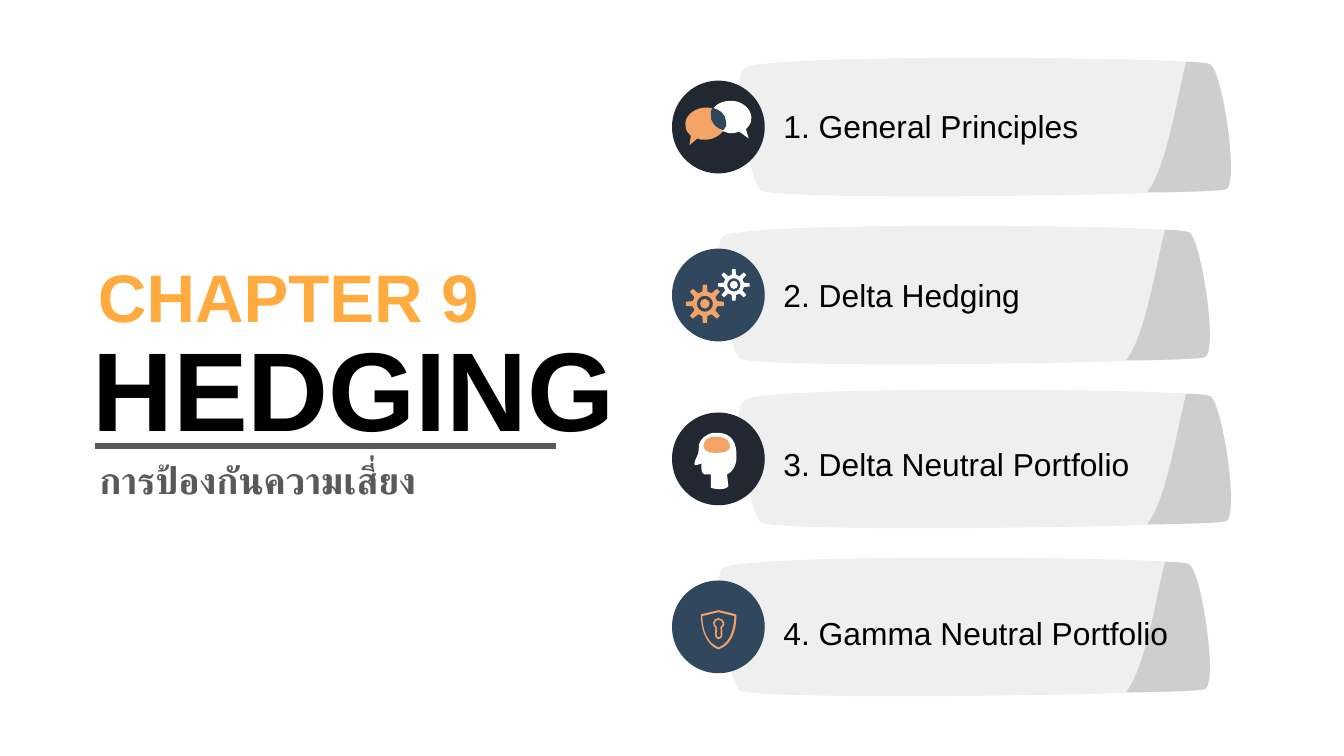
from dataclasses import dataclass
from math import cos, pi, sin

from lxml import etree
from pptx import Presentation
from pptx.dml.color import RGBColor
from pptx.enum.shapes import MSO_CONNECTOR, MSO_SHAPE
from pptx.enum.text import MSO_ANCHOR
from pptx.oxml.ns import qn
from pptx.util import Pt

STRAIGHT = MSO_CONNECTOR.STRAIGHT
OVAL = MSO_SHAPE.OVAL
TOP, MIDDLE = MSO_ANCHOR.TOP, MSO_ANCHOR.MIDDLE
FONT = "Arial"
ORANGE, WHITE, NAVY, DARK = "F2A365", "FFFFFF", "30475E", "222831"
BLACK, GREY, PANEL, FOLD = "000000", "595959", "EFEFEF", "CECECE"
BADGE_LEFT, BADGE_SIZE, BADGE_DROP = 360, 49.7, 12.2

Point = tuple[float, float]
Segment = tuple[str, list[Point]]

# Outlines in points: M starts a contour, L is a line, C is a cubic curve.
BANNER = """M 133.9 0 C 73.4 0 13 1.4 8.6 5.8 C 0 14.4 13 69.8 18 71.3
    C 24.5 73.4 60.5 74.2 103.7 74.2 C 172.1 74.2 257.8 72 266.4 70.6
    C 274.3 69.1 265 7.9 258.5 3.6 C 254.9 1.4 194.4 0 133.9 0"""
BANNER_FOLD = """M 245.5 2.2 C 241.2 17.3 235.4 58.3 224.6 72
    C 246.2 72 262.8 71.3 266.4 70.6 C 274.3 69.1 265 7.9 258.5 3.6
    C 257 2.9 252.7 2.2 245.5 2.2"""
LEFT_BUBBLE = """M -6.1 -10.4 L -7.6 -10.4 C -14 -9.7 -18.4 -5.4 -17.6 -0.4
    C -17.6 1.8 -16.2 3.2 -14.8 4.7 L -15.5 9.7 L -11.2 6.1
    C -10.4 6.8 -9 6.8 -7.6 6.8 L -6.1 6.8 C 0.4 6.1 4.7 1.1 4 -3.2
    C 4 -7.6 -0.4 -10.4 -6.1 -10.4"""
RIGHT_BUBBLE = """M 6.1 -14 C 1.1 -14 -3.2 -11.2 -4 -6.8
    C -4.7 -2.5 -0.4 1.8 5.4 3.2 C 6.8 3.6 9 3.2 11.2 2.5
    L 16.2 6.1 L 14.8 1.1 C 16.2 -0.4 17.6 -1.8 17.6 -4
    C 18.4 -8.3 14 -13.3 8.3 -14"""
BUBBLE_OVERLAP = """M -3.2 -10.4 C -4 -9 -4 -8.3 -4 -6.8
    C -4.7 -3.2 -1.8 0.4 2.5 1.8 C 4 0.4 4.7 -1.1 4 -3.2
    C 4 -6.8 1.1 -9 -3.2 -10.4"""
HEAD = """M -0.4 -14 L -2.5 -14 C -6.8 -13.3 -9.7 -10.4 -10.4 -7.6
    C -10.4 -7.6 -10.4 -2.5 -11.2 -1.8 C -11.9 -0.4 -13.3 2.5 -12.6 3.2
    C -12.2 3.6 -10.4 3 -9 2.5 C -9 2.5 -9.7 7.6 -7.6 8.3 L -4 8.3
    L -4 15.5 C -4 15.5 -1.8 16.2 0.4 16.2 C 1.8 16.2 4 16.2 5.4 14.8
    L 4.7 8.3 C 4.7 8.3 10.4 6.1 9.7 -2.5 C 9.7 -11.9 4 -14 -0.4 -14"""
BRAIN = """M -1.8 -11.9 C -2.5 -11.9 -6.8 -11.9 -7.6 -8.3
    C -9 -4.7 -5.4 -3.2 -1.8 -3.2 C 2.5 -3.2 6.1 -4 6.1 -6.1
    C 6.1 -9 5.4 -11.9 -1.8 -11.9"""
SHIELD = """M 0.2 -9 L -9 -6.8 L -9.4 -6.1 C -9.4 -4.7 -9 8.3 -0.4 11.9
    L 0.4 11.9 C 9 9 9.7 -2.5 9.7 -6.1 L 9.2 -6.8
    M 0.2 -7.9 L 8.6 -5.8 C 8.6 -2.5 7.6 8.3 0.2 11
    C -8.3 7.6 -8.5 -3.2 -8.5 -5.8"""
KEYHOLE = """M 0 -4.7 C -1.6 -4.7 -2.7 -3.6 -2.8 -2.3 C -2.9 -1 -2.2 0 -1.6 0.4
    L -1.8 4.2 C -1.8 5.6 -1.1 6.6 0.1 6.6 C 1.4 6.6 2.2 5.6 2.2 4.2
    L 2 0.4 C 2.7 0 3.3 -0.9 3.2 -2.1 C 3.1 -3.6 1.6 -4.7 0 -4.7
    M 0.1 -3.8 C -1 -3.8 -1.9 -3 -1.9 -2 C -1.9 -1 -1.4 -0.3 -0.7 0.1
    L -0.9 4.2 C -0.9 5.1 -0.5 5.6 0.2 5.6 C 0.9 5.6 1.3 5.1 1.3 4.2
    L 1.1 0.1 C 1.8 -0.3 2.3 -1 2.3 -2 C 2.2 -3 1.2 -3.8 0.1 -3.8"""


@dataclass
class Part:
    segments: list[Segment]
    color: str


@dataclass
class Topic:
    title: str
    left: float
    top: float
    badge: str
    icon: list[Part]
    width: float = 222.5


@dataclass
class Label:
    text: str
    left: float
    top: float
    width: float
    height: float
    size: float
    color: str = BLACK
    bold: bool = False
    anchor: MSO_ANCHOR = MIDDLE
    inset: float = 7.2


def rgb(color: str) -> RGBColor:
    return RGBColor.from_string(color)


def segments_of(outline: str) -> list[Segment]:
    """Split an outline string into its commands and their points."""
    segments = []
    for command in outline.replace("M", "|M").replace("L", "|L").replace("C", "|C").split("|")[1:]:
        kind, *numbers = command.split()
        values = [float(number) for number in numbers]
        segments.append((kind, list(zip(values[::2], values[1::2]))))
    return segments


def ring(x: float, y: float, radius: float) -> list[Segment]:
    """A circle of four cubic curves."""
    segments = [("M", [(x + radius, y)])]
    for turn in (pi / 2 * quarter for quarter in range(4)):
        segments.append(("C", [(x + radius * (out * cos(turn) - side * sin(turn)),
                                y + radius * (out * sin(turn) + side * cos(turn)))
                               for out, side in ((1, 0.55), (0.55, 1), (0, 1))]))
    return segments


def gear(x: float, y: float, scale: float, color: str) -> Part:
    """An eight-toothed wheel with a hole and a separate hub."""
    profile = [(6.5, -1.4), (10.2, -1.1), (10.2, 1.1), (6.5, 1.4)]
    teeth = []
    for turn in (pi / 4 * tooth for tooth in range(8)):
        teeth += [(x + scale * (out * cos(turn) - side * sin(turn)),
                   y + scale * (out * sin(turn) + side * cos(turn))) for out, side in profile]
    wheel = [("M", teeth[:1]), ("L", teeth[1:])]
    return Part(wheel + ring(x, y, 4.3 * scale) + ring(x, y, 2.6 * scale), color)


def paint(shape, color: str) -> None:
    shape.shadow.inherit = False
    shape.fill.solid()
    shape.fill.fore_color.rgb = rgb(color)
    shape.line.fill.background()


def bend_curves(shape, segments: list[Segment]) -> None:
    """Turn the lines through control points into cubic curves."""
    outline = next(shape._element.iter(qn("a:path")))
    steps = iter([step for step in outline if step.tag != qn("a:close")])
    for kind, points in segments:
        group = [next(steps) for _ in points]
        if kind == "C":
            curve = etree.Element(qn("a:cubicBezTo"))
            group[0].addprevious(curve)
            for step in group:
                curve.append(step[0])
                outline.remove(step)


def draw_part(page, part: Part, left: float, top: float) -> None:
    placed = [(kind, [(Pt(left + x), Pt(top + y)) for x, y in points])
              for kind, points in part.segments]
    builder = page.shapes.build_freeform(*placed[0][1][0], scale=1.0)
    for kind, points in placed[1:]:
        if kind == "M":
            builder.add_line_segments([], close=True)
            builder.move_to(*points[0])
        else:
            builder.add_line_segments(points, close=False)
    builder.add_line_segments([], close=True)
    shape = builder.convert_to_shape()
    bend_curves(shape, part.segments)
    paint(shape, part.color)


def draw_label(page, label: Label) -> None:
    box = page.shapes.add_textbox(Pt(label.left), Pt(label.top), Pt(label.width), Pt(label.height))
    layout = {"word_wrap": True, "vertical_anchor": label.anchor,
              "margin_top": Pt(label.inset), "margin_bottom": Pt(label.inset)}
    for name, value in layout.items():
        setattr(box.text_frame, name, value)
    span = box.text_frame.paragraphs[0].add_run()
    span.text = label.text
    for name, value in {"name": FONT, "size": Pt(label.size), "bold": label.bold}.items():
        setattr(span.font, name, value)
    span.font.color.rgb = rgb(label.color)
    etree.SubElement(span.font._element, qn("a:cs")).set("typeface", FONT)


def draw_topic(page, topic: Topic, label_top: float) -> None:
    for outline, color in ((BANNER, PANEL), (BANNER_FOLD, FOLD)):
        draw_part(page, Part(segments_of(outline), color), topic.left, topic.top)
    badge_top = topic.top + BADGE_DROP
    badge = page.shapes.add_shape(OVAL, Pt(BADGE_LEFT), Pt(badge_top), Pt(BADGE_SIZE), Pt(BADGE_SIZE))
    paint(badge, topic.badge)
    for part in topic.icon:
        draw_part(page, part, BADGE_LEFT + BADGE_SIZE / 2, badge_top + BADGE_SIZE / 2)
    draw_label(page, Label(topic.title, 412.6, label_top, topic.width, 33.8, 17))


def draw_rule(page, left: float, right: float, y: float) -> None:
    rule = page.shapes.add_connector(STRAIGHT, Pt(left), Pt(y), Pt(right), Pt(y))
    rule.line.color.rgb = rgb(GREY)
    rule.line.width = Pt(3)
    etree.SubElement(rule._element.spPr, qn("a:effectLst"))


def main() -> None:
    deck = Presentation()
    deck.slide_width, deck.slide_height = Pt(720), Pt(405)
    page = deck.slides.add_slide(deck.slide_layouts[6])
    bubbles, head, lock = (
        [Part(segments_of(outline), color) for outline, color in icon]
        for icon in (((LEFT_BUBBLE, ORANGE), (RIGHT_BUBBLE, WHITE), (BUBBLE_OVERLAP, NAVY)),
                     ((HEAD, WHITE), (BRAIN, ORANGE)), ((SHIELD, ORANGE), (KEYHOLE, ORANGE))))
    gears = [gear(-7.2, 4.7, 1, ORANGE), gear(8.3, -5.4, 0.83, WHITE)]
    topics = [Topic("1. General Principles", 390, 31, DARK, bubbles),
              Topic("2. Delta Hedging", 378.7, 121, NAVY, gears),
              Topic("3. Delta Neutral Portfolio", 390, 208.8, DARK, head),
              Topic("4. Gamma Neutral Portfolio", 378.7, 298.8, NAVY, lock, 260)]
    for index, topic in enumerate(topics):
        draw_topic(page, topic, 50.4 + 90.5 * index)
    draw_label(page, Label("HEDGING", 42.5, 152.6, 299.5, 109.4, 60, bold=True))
    draw_label(page, Label("CHAPTER 9", 45.4, 133.2, 253.4, 51.1, 36, "FFAB40", True, TOP, 3.6))
    draw_rule(page, 51.1, 298.1, 239)
    draw_label(page, Label("การป้องกันความเสี่ยง", 46.1, 241.2, 214.6, 31.7, 20, GREY, True, TOP, 3.6))
    deck.save("out.pptx")


if __name__ == "__main__":
    main()
